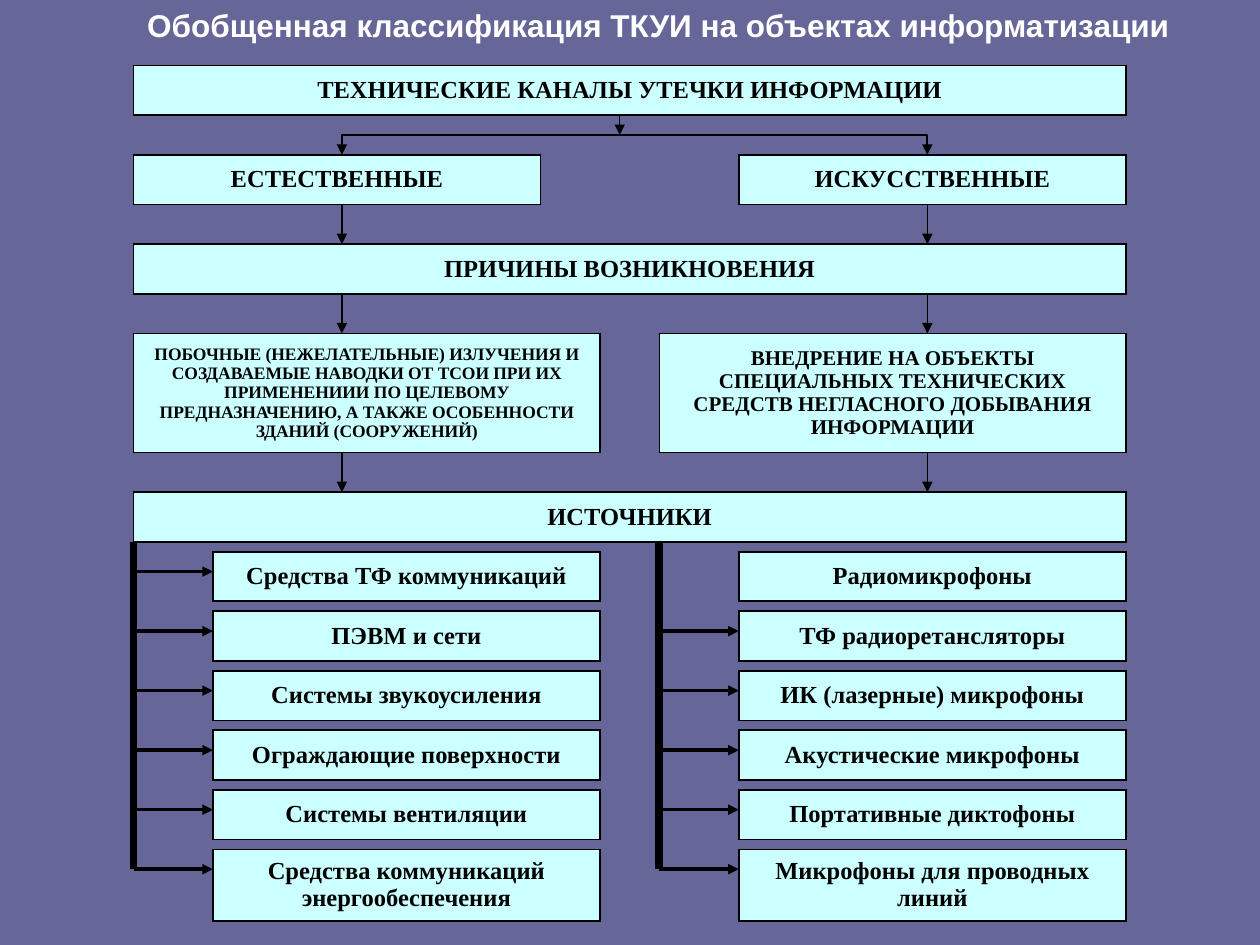
from dataclasses import dataclass
from lxml import etree
from pptx import Presentation
from pptx.dml.color import RGBColor
from pptx.enum.shapes import MSO_CONNECTOR
from pptx.enum.text import MSO_ANCHOR, MSO_AUTO_SIZE, PP_ALIGN
from pptx.oxml.ns import qn
from pptx.util import Emu, Inches, Pt

STRAIGHT = MSO_CONNECTOR.STRAIGHT
MIDDLE = MSO_ANCHOR.MIDDLE
CENTER = PP_ALIGN.CENTER
GROW = MSO_AUTO_SIZE.SHAPE_TO_FIT_TEXT


@dataclass(frozen=True)
class Theme:
    background: str = "666699"
    box: str = "CCFFFF"
    ink: str = "000000"
    title: str = "FFFFFF"
    title_font: str = "Arial"
    box_font: str = "Times New Roman"
    title_size: float = 18
    box_size: float = 14
    implant_size: float = 12
    emission_size: float = 10
    border: float = 1.08
    thin: float = 0.75
    fork: float = 1.25
    branch: float = 2
    trunk: float = 4.5


@dataclass(frozen=True)
class Box:
    """A framed label; its place is given in grid columns and rows."""
    text: str
    left: float
    top: float
    right: float
    height: float = 2.5
    size: float = Theme.box_size


@dataclass(frozen=True)
class Line:
    start: tuple[float, float]
    end: tuple[float, float]
    width: float
    arrow: bool = True


THEME = Theme()
UNIT = 0.63 / 4
ORIGIN_X, ORIGIN_Y = 1.06, 0.52

# Grid columns
LEFT, RIGHT, CENTER_GAP = 0, 50, 24.5
NATURAL_AXIS, ARTIFICIAL_AXIS = 10.5, 40
LEFT_END, RIGHT_START = 23.5, 26.5
INDENT = 4
# Grid rows
FORK_ROW, KINDS_ROW, CAUSES_ROW, DETAILS_ROW, SOURCES_ROW = 3.5, 4.5, 9, 13.5, 21.5
LIST_ROW, LIST_PITCH = 24.5, 3
BOX_HEIGHT, DETAIL_HEIGHT, TALL_HEIGHT = 2.5, 6, 3.6

BOXES = [
    Box("ТЕХНИЧЕСКИЕ КАНАЛЫ УТЕЧКИ ИНФОРМАЦИИ", LEFT, 0, RIGHT),
    Box("ЕСТЕСТВЕННЫЕ", LEFT, KINDS_ROW, 20.5),
    Box("ИСКУССТВЕННЫЕ", RIGHT_START + INDENT, KINDS_ROW, RIGHT),
    Box("ПРИЧИНЫ ВОЗНИКНОВЕНИЯ", LEFT, CAUSES_ROW, RIGHT),
    Box("ПОБОЧНЫЕ (НЕЖЕЛАТЕЛЬНЫЕ) ИЗЛУЧЕНИЯ И СОЗДАВАЕМЫЕ НАВОДКИ ОТ ТСОИ "
        "ПРИ ИХ ПРИМЕНЕНИИИ ПО ЦЕЛЕВОМУ ПРЕДНАЗНАЧЕНИЮ, А ТАКЖЕ ОСОБЕННОСТИ "
        "ЗДАНИЙ (СООРУЖЕНИЙ)",
        LEFT, DETAILS_ROW, LEFT_END, DETAIL_HEIGHT, THEME.emission_size),
    Box("ВНЕДРЕНИЕ НА ОБЪЕКТЫ СПЕЦИАЛЬНЫХ ТЕХНИЧЕСКИХ СРЕДСТВ НЕГЛАСНОГО "
        "ДОБЫВАНИЯ ИНФОРМАЦИИ",
        RIGHT_START, DETAILS_ROW, RIGHT, DETAIL_HEIGHT, THEME.implant_size),
    Box("ИСТОЧНИКИ", LEFT, SOURCES_ROW, RIGHT),
]
NATURAL_SOURCES = [
    "Средства ТФ коммуникаций", "ПЭВМ и сети", "Системы звукоусиления",
    "Ограждающие поверхности", "Системы вентиляции",
    "Средства коммуникаций энергообеспечения",
]
ARTIFICIAL_SOURCES = [
    "Радиомикрофоны", "ТФ радиоретансляторы", "ИК (лазерные) микрофоны",
    "Акустические микрофоны", "Портативные диктофоны",
    "Микрофоны для проводных линий",
]


def span(units: float) -> Emu:
    return Inches(units * UNIT)


def place(column: float, row: float) -> tuple[Emu, Emu]:
    """Turn a grid position into slide coordinates."""
    return Inches(ORIGIN_X + column * UNIT), Inches(ORIGIN_Y + row * UNIT)


def write(paragraph, text: str, font: str, size: float, color: str) -> None:
    run = paragraph.add_run()
    run.text = text
    for key, value in {"name": font, "size": Pt(size), "bold": True}.items():
        setattr(run.font, key, value)
    run.font.color.rgb = RGBColor.from_string(color)


def add_border(cell) -> None:
    properties = cell._tc.get_or_add_tcPr()
    for side in ("a:lnL", "a:lnR", "a:lnT", "a:lnB"):
        edge = etree.SubElement(properties, qn(side), w=str(Pt(THEME.border)))
        fill = etree.SubElement(edge, qn("a:solidFill"))
        etree.SubElement(fill, qn("a:srgbClr"), val=THEME.ink)


def draw_box(slide, box: Box) -> None:
    table = slide.shapes.add_table(
        1, 1, *place(box.left, box.top),
        span(box.right - box.left), span(box.height)).table
    table.first_row = table.horz_banding = False
    cell = table.cell(0, 0)
    add_border(cell)
    cell.fill.solid()
    cell.fill.fore_color.rgb = RGBColor.from_string(THEME.box)
    cell.vertical_anchor = MIDDLE
    label = cell.text_frame.paragraphs[0]
    label.alignment = CENTER
    write(label, box.text, THEME.box_font, box.size, THEME.ink)


def style_line(shape, width: float, ends: tuple[str, ...]) -> None:
    """Colour the line and put triangles on the named ends."""
    shape.line.color.rgb = RGBColor.from_string(THEME.ink)
    shape.line.width = Pt(width)
    outline = shape._element.spPr.find(qn("a:ln"))
    for end in ends:
        etree.SubElement(outline, qn(end), type="triangle")


def draw_line(slide, line: Line) -> None:
    connector = slide.shapes.add_connector(
        STRAIGHT, *place(*line.start), *place(*line.end))
    style_line(connector, line.width, ("a:tailEnd",) if line.arrow else ())
    etree.SubElement(connector._element.spPr, qn("a:effectLst"))


def draw_fork(slide) -> None:
    builder = slide.shapes.build_freeform(*place(NATURAL_AXIS, KINDS_ROW))
    corners = [(NATURAL_AXIS, FORK_ROW), (ARTIFICIAL_AXIS, FORK_ROW),
               (ARTIFICIAL_AXIS, KINDS_ROW)]
    builder.add_line_segments([place(*corner) for corner in corners], close=False)
    fork = builder.convert_to_shape()
    fork.fill.background()
    fork.shadow.inherit = False
    style_line(fork, THEME.fork, ("a:headEnd", "a:tailEnd"))


def draw_sources(slide, trunk: float, right: float, sources: list[str],
                 first_arrow: int) -> None:
    """Draw a column of sources hanging on a thick trunk."""
    last = len(sources) - 1
    for index, source in enumerate(sources):
        row = LIST_ROW + index * LIST_PITCH
        height = TALL_HEIGHT if index == last else BOX_HEIGHT
        draw_box(slide, Box(source, trunk + INDENT, row, right, height))
        if index >= first_arrow:
            draw_line(slide, Line((trunk, row + 1), (trunk + INDENT, row + 1),
                                  THEME.branch))
    draw_line(slide, Line((trunk, SOURCES_ROW + BOX_HEIGHT),
                          (trunk, LIST_ROW + last * LIST_PITCH + 1),
                          THEME.trunk, arrow=False))


def draw_title(slide) -> None:
    frame = slide.shapes.add_textbox(
        Inches(1.07), 0, Inches(8.32), Inches(0.4)).text_frame
    for key, value in {"word_wrap": False, "auto_size": GROW}.items():
        setattr(frame, key, value)
    write(frame.paragraphs[0],
          "Обобщенная классификация ТКУИ на объектах информатизации",
          THEME.title_font, THEME.title_size, THEME.title)


def main() -> None:
    deck = Presentation()
    deck.slide_width, deck.slide_height = Inches(10), Inches(7.5)
    slide = deck.slides.add_slide(deck.slide_layouts[6])
    slide.background.fill.solid()
    slide.background.fill.fore_color.rgb = RGBColor.from_string(THEME.background)

    for box in BOXES:
        draw_box(slide, box)
    draw_fork(slide)
    draw_sources(slide, LEFT, LEFT_END, NATURAL_SOURCES, first_arrow=0)
    draw_sources(slide, RIGHT_START, RIGHT, ARTIFICIAL_SOURCES, first_arrow=1)
    draw_line(slide, Line((CENTER_GAP, BOX_HEIGHT), (CENTER_GAP, FORK_ROW), THEME.thin))
    for axis in (NATURAL_AXIS, ARTIFICIAL_AXIS):
        for row in (CAUSES_ROW, DETAILS_ROW, SOURCES_ROW):
            draw_line(slide, Line((axis, row - 2), (axis, row), THEME.thin))
    draw_title(slide)
    deck.save("out.pptx")


if __name__ == "__main__":
    main()
